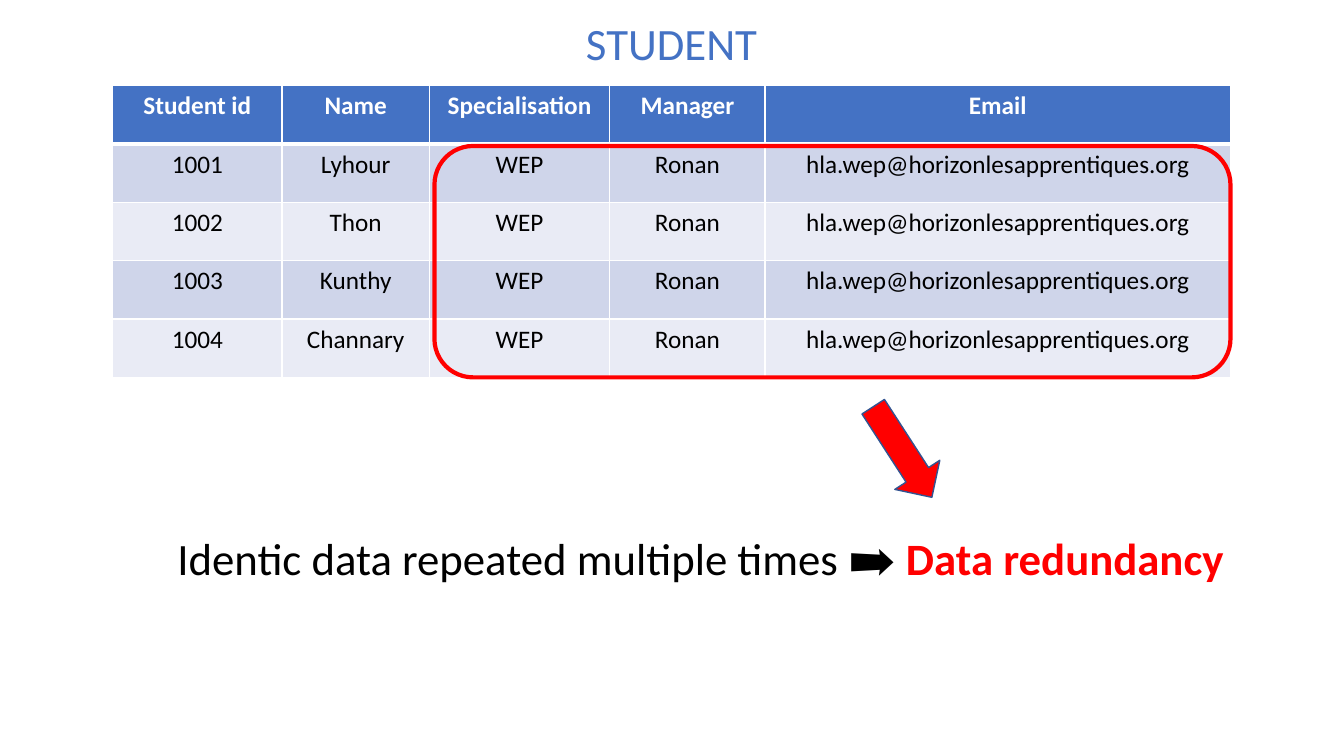
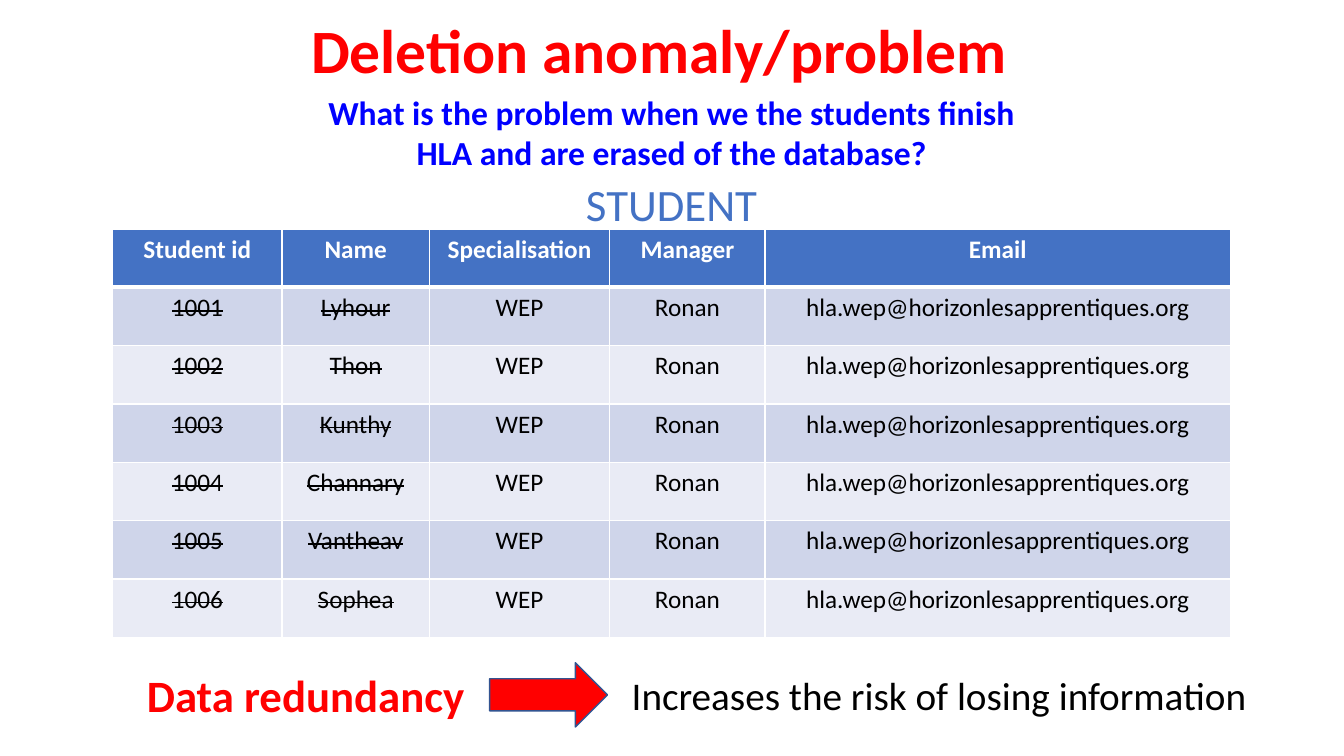
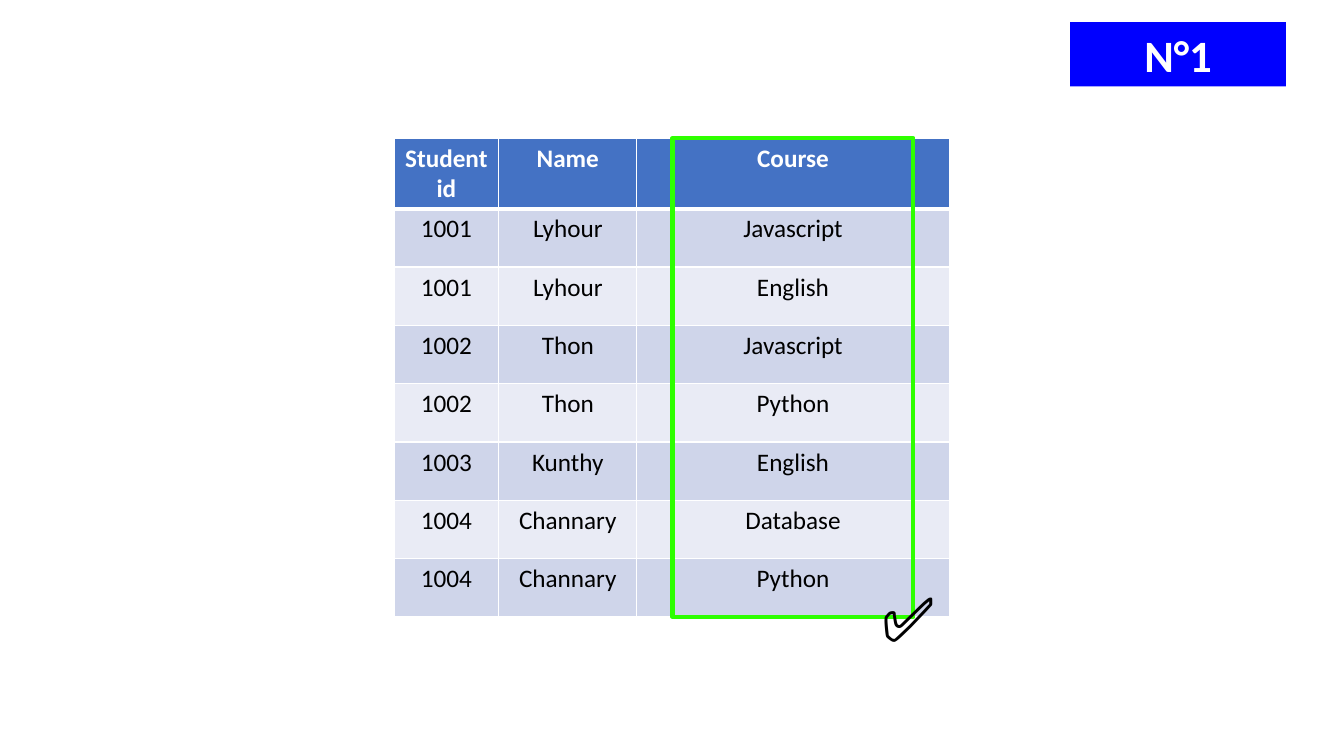
from dataclasses import dataclass

from lxml.etree import SubElement
from pptx import Presentation
from pptx.dml.color import RGBColor
from pptx.enum.shapes import MSO_SHAPE
from pptx.enum.text import MSO_ANCHOR, PP_ALIGN
from pptx.oxml.ns import qn
from pptx.util import Cm, Pt

BLUE, RED, BLACK, WHITE = "4472C4", "FF0000", "000000", "FFFFFF"
PURE_BLUE, GREEN, ARROW_EDGE = "0000FF", "2EFF00", "325491"
BANDS = ("CFD5EA", "E9EBF5")
ROW_HEIGHT = 1.47
STUDENT_COLUMNS = (4.27, 3.71, 4.55, 3.91, 11.73)
COURSE_COLUMNS = (2.64, 3.48, 7.87)

PLAIN = {"size": 18, "color": BLACK, "bold": False}
HEADER = {"size": 18, "color": WHITE, "bold": True}
STRUCK = {**PLAIN, "strike": True}
TABLE_TITLE = {"size": 32, "color": BLUE, "bold": False}
STATEMENT = {"size": 32, "color": BLACK, "bold": False}
WARNING = {"size": 32, "color": RED, "bold": True}
HEADING = {"size": 44, "color": RED, "bold": True}
QUESTION = {"size": 24, "color": PURE_BLUE, "bold": True}
OUTCOME = {"size": 28, "color": BLACK, "bold": False}
BADGE = {"size": 32, "color": WHITE, "bold": True}
CHECK = {"size": 44, "color": BLACK, "bold": False}

STUDENT_HEADER = ("Student id", "Name", "Specialisation", "Manager", "Email")
STUDENT_NAMES = ("Lyhour", "Thon", "Kunthy", "Channary", "Vantheav", "Sophea")
SHARED_DATA = ("WEP", "Ronan", "hla.wep@horizonlesapprentiques.org")
STUDENTS = [(str(number), name, *SHARED_DATA)
            for number, name in enumerate(STUDENT_NAMES, 1001)]
COURSES = [
    ("Student id", "Name", "Course"),
    ("1001", "Lyhour", "Javascript"),
    ("1001", "Lyhour", "English"),
    ("1002", "Thon", "Javascript"),
    ("1002", "Thon", "Python"),
    ("1003", "Kunthy", "English"),
    ("1004", "Channary", "Database"),
    ("1004", "Channary", "Python"),
]


@dataclass
class Box:
    """A rectangle measured in centimetres."""
    left: float
    top: float
    width: float
    height: float

    def lengths(self):
        """Return the four lengths for python-pptx."""
        return [Cm(value) for value in (self.left, self.top, self.width, self.height)]

    def inside(self, left, top, width, height):
        """Return a box offset from this one's top left corner."""
        return Box(self.left + left, self.top + top, width, height)


def rgb(value):
    """Turn a hex string into a colour."""
    return RGBColor.from_string(value)


def write(frame, spans, align=PP_ALIGN.LEFT):
    """Write one paragraph of (text, format) spans."""
    para = frame.paragraphs[0]
    para.alignment = align
    for text, style in spans:
        span = para.add_run()
        span.text = text
        settings = {"name": "Calibri", "size": Pt(style["size"]), "bold": style["bold"]}
        for key, value in settings.items():
            setattr(span.font, key, value)
        span.font.color.rgb = rgb(style["color"])
        if style.get("strike"):
            span._r.get_or_add_rPr().set("strike", "sngStrike")


def add_text(page, box, spans, align=PP_ALIGN.LEFT, wrap=True):
    """Add a text box."""
    frame = page.shapes.add_textbox(*box.lengths()).text_frame
    frame.word_wrap = wrap
    write(frame, spans, align)


def add_figure(page, kind, box, fill=None, line=None, weight=1, rotation=0):
    """Add a preset shape with an optional fill and outline."""
    shape = page.shapes.add_shape(kind, *box.lengths())
    shape.shadow.inherit = False
    shape.rotation = rotation
    if fill:
        shape.fill.solid()
        shape.fill.fore_color.rgb = rgb(fill)
    else:
        shape.fill.background()
    if line:
        shape.line.color.rgb = rgb(line)
        shape.line.width = Pt(weight)
    else:
        shape.line.fill.background()
    return shape


def add_borders(cell, row):
    """Draw white cell borders, thicker under the header row."""
    weights = {"lnL": 1, "lnR": 1, "lnT": 3 if row == 1 else 1, "lnB": 3 if row == 0 else 1}
    properties = cell._tc.get_or_add_tcPr()
    for side, weight in weights.items():
        border = SubElement(properties, qn(f"a:{side}"), w=str(Pt(weight)))
        SubElement(SubElement(border, qn("a:solidFill")), qn("a:srgbClr"), val=WHITE)


def add_banded_table(page, box, columns, rows, struck_columns=0):
    """Add a table with a blue header and alternating bands."""
    table = page.shapes.add_table(len(rows), len(columns), *box.lengths()).table
    table.horz_banding = False
    for column, width in zip(table.columns, columns):
        column.width = Cm(width)
    for row, values in enumerate(rows):
        table.rows[row].height = Cm(ROW_HEIGHT)
        for column, text in enumerate(values):
            cell = table.cell(row, column)
            add_borders(cell, row)
            cell.fill.solid()
            cell.fill.fore_color.rgb = rgb(BANDS[(row - 1) % 2] if row else BLUE)
            body = STRUCK if column < struck_columns else PLAIN
            write(cell.text_frame, [(text, body if row else HEADER)], PP_ALIGN.CENTER)


def add_student_region(page, box, title_rise, students, struck_columns=0):
    """Add the student table with its title centred above."""
    add_banded_table(page, box, STUDENT_COLUMNS, [STUDENT_HEADER, *students], struck_columns)
    width = 15.52
    title = box.inside((box.width - width) / 2, -title_rise, width, 1.62)
    add_text(page, title, [("STUDENT", TABLE_TITLE)], PP_ALIGN.CENTER)


def student_box(top, count):
    """Return the box of a student table with a header and count rows."""
    return Box(2.84, top, sum(STUDENT_COLUMNS), ROW_HEIGHT * (count + 1))


def build_redundancy(page, box):
    """Show the repeated data and name the problem."""
    add_student_region(page, box, 1.88, STUDENTS[:4])
    left, top = sum(STUDENT_COLUMNS[:2]) + 0.13, ROW_HEIGHT + 0.05
    repeated = box.inside(left, top, box.width - left, box.height - top)
    add_figure(page, MSO_SHAPE.ROUNDED_RECTANGLE, repeated, line=RED, weight=3)
    add_text(page, box.inside(1.38, 11.1, 28.17, 1.62),
             [("Identic data repeated multiple times \u27a1\ufe0f ", STATEMENT),
              ("Data redundancy", WARNING)])
    add_figure(page, MSO_SHAPE.DOWN_ARROW, box.inside(19.23, 7.87, 1.35, 2.72),
               RED, ARROW_EDGE, rotation=327.1)


def add_consequence(page, box):
    """Link redundancy to its consequence with an arrow."""
    add_figure(page, MSO_SHAPE.RIGHT_ARROW, box.inside(8.89, 0, 2.97, box.height),
               RED, ARROW_EDGE)
    add_text(page, box.inside(12.22, 0.1, 17.02, 1.45),
             [("Increases the risk of losing information", OUTCOME)])
    add_text(page, box.inside(0, 0, 8.56, box.height), [("Data redundancy", WARNING)])


def build_deletion(page, box):
    """Show what is lost when students are deleted."""
    add_student_region(page, box, 1.45, STUDENTS, struck_columns=2)
    add_consequence(page, Box(3.45, 16.7, 29.24, 1.62))
    add_text(page, Box(7.54, 2.18, 18.77, 2.31),
             [("What is the problem when we the students finish "
               "HLA and are erased of the database?", QUESTION)], PP_ALIGN.CENTER)
    add_text(page, Box(7.59, 0.18, 20.22, 2.13), [("Deletion anomaly/problem", HEADING)])


def build_courses(page, box):
    """Show the course table with its last column approved."""
    add_banded_table(page, box, COURSE_COLUMNS, COURSES)
    width = 6.07
    left = sum(COURSE_COLUMNS[:2]) + (COURSE_COLUMNS[2] - width) / 2
    add_figure(page, MSO_SHAPE.RECTANGLE, box.inside(left, 0, width, 12.07),
               line=GREEN, weight=3)
    add_text(page, box.inside(12.04, 11.02, 2.08, 2.13), [("\u2705", CHECK)], wrap=False)
    badge = add_figure(page, MSO_SHAPE.RECTANGLE, Box(26.97, 0.56, 5.44, 1.62), PURE_BLUE)
    badge.text_frame.vertical_anchor = MSO_ANCHOR.MIDDLE
    write(badge.text_frame, [("N°1", BADGE)], PP_ALIGN.CENTER)


def main():
    """Build and save the deck."""
    deck = Presentation()
    deck.slide_width, deck.slide_height = Cm(33.87), Cm(19.05)
    slides = (
        (build_redundancy, student_box(2.16, 4)),
        (build_deletion, student_box(5.77, 6)),
        (build_courses, Box(9.93, 3.48, sum(COURSE_COLUMNS), ROW_HEIGHT * len(COURSES))),
    )
    for build, box in slides:
        build(deck.slides.add_slide(deck.slide_layouts[6]), box)
    deck.save("out.pptx")


main()
